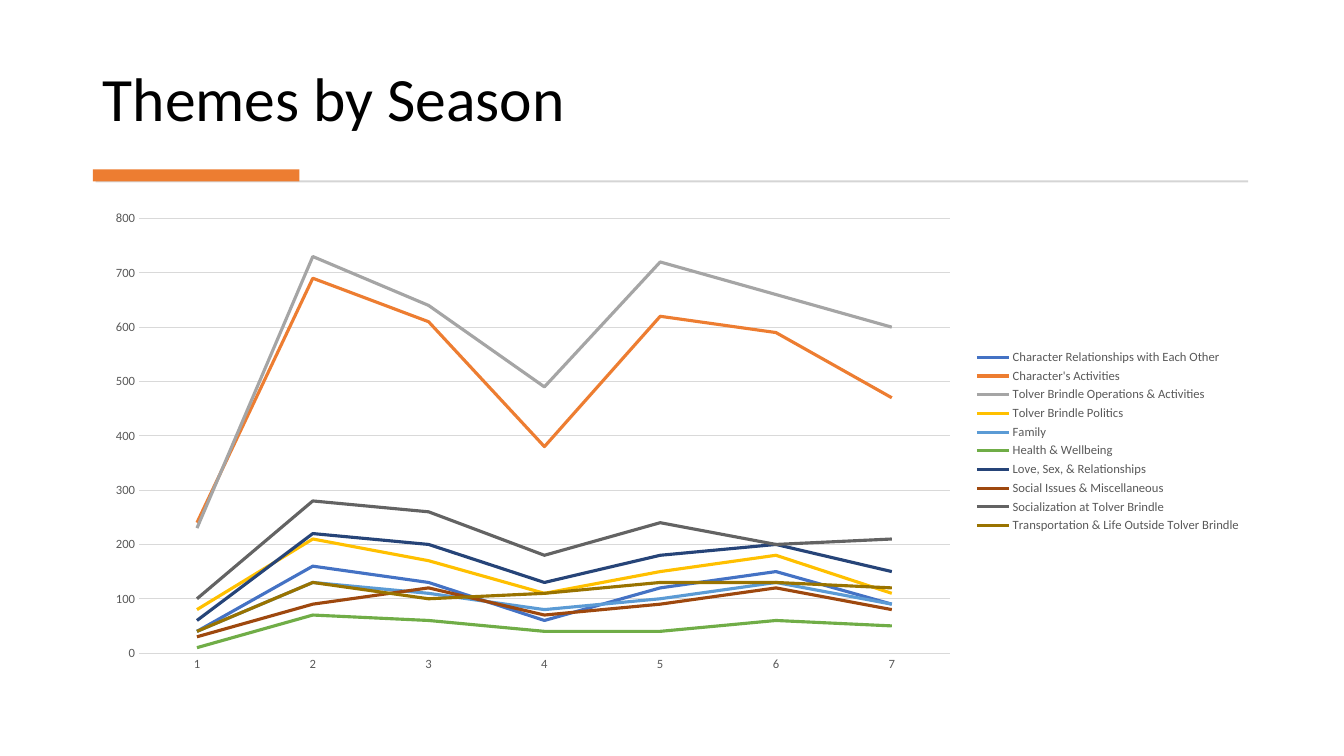
import pptx
import pptx.chart.data
import pptx.dml.color
import pptx.enum.chart
import pptx.enum.shapes
import pptx.enum.text
import pptx.util

RGBColor = pptx.dml.color.RGBColor
BLACK = RGBColor(0x00, 0x00, 0x00)
TEXT_GREY = RGBColor(0x59, 0x59, 0x59)
GRID_GREY = RGBColor(0xD9, 0xD9, 0xD9)
RULE_GREY = RGBColor(0xD5, 0xD5, 0xD5)
BLUE = RGBColor(0x44, 0x72, 0xC4)
ORANGE = RGBColor(0xED, 0x7D, 0x31)
GREY = RGBColor(0xA5, 0xA5, 0xA5)
GOLD = RGBColor(0xFF, 0xC0, 0x00)
SKY = RGBColor(0x5B, 0x9B, 0xD5)
GREEN = RGBColor(0x70, 0xAD, 0x47)
NAVY = RGBColor(0x26, 0x44, 0x78)
RUST = RGBColor(0x9E, 0x48, 0x0E)
CHARCOAL = RGBColor(0x63, 0x63, 0x63)
OLIVE = RGBColor(0x99, 0x73, 0x00)

SEASONS = 7
THEMES = [
    ("Character Relationships with Each Other", BLUE, (40, 160, 130, 60, 120, 150, 90)),
    ("Character's Activities", ORANGE, (240, 690, 610, 380, 620, 590, 470)),
    ("Tolver Brindle Operations & Activities", GREY, (230, 730, 640, 490, 720, 660, 600)),
    ("Tolver Brindle Politics", GOLD, (80, 210, 170, 110, 150, 180, 110)),
    ("Family", SKY, (40, 130, 110, 80, 100, 130, 90)),
    ("Health & Wellbeing", GREEN, (10, 70, 60, 40, 40, 60, 50)),
    ("Love, Sex, & Relationships", NAVY, (60, 220, 200, 130, 180, 200, 150)),
    ("Social Issues & Miscellaneous", RUST, (30, 90, 120, 70, 90, 120, 80)),
    ("Socialization at Tolver Brindle", CHARCOAL, (100, 280, 260, 180, 240, 200, 210)),
    ("Transportation & Life Outside Tolver Brindle", OLIVE, (40, 130, 100, 110, 130, 130, 120)),
]


def style_font(font, size, color):
    for name, value in {"name": "Calibri", "size": pptx.util.Pt(size)}.items():
        setattr(font, name, value)
    font.color.rgb = color


deck = pptx.Presentation()
deck.slide_width = pptx.util.Inches(13.33)
deck.slide_height = pptx.util.Inches(7.5)
page = deck.slides.add_slide(deck.slide_layouts[6])

margin = pptx.util.Inches(0.92)
content_width = deck.slide_width - 2 * margin

# Title
box = page.shapes.add_textbox(margin, pptx.util.Inches(0.28),
                              content_width, pptx.util.Inches(1.11))
frame = box.text_frame
frame.word_wrap = True
frame.vertical_anchor = pptx.enum.text.MSO_ANCHOR.BOTTOM
para = frame.paragraphs[0]
para.line_spacing = 0.9
span = para.add_run()
span.text = "Themes by Season"
style_font(span.font, 44, BLACK)

# Rule under the title, with its accent bar
rule_inset = pptx.util.Inches(0.03)
for left, top, width, height, color in [
    (margin + rule_inset, 1.79, content_width - 2 * rule_inset, 0.02, RULE_GREY),
    (margin, 1.68, pptx.util.Inches(2.05), 0.12, ORANGE),
]:
    bar = page.shapes.add_shape(pptx.enum.shapes.MSO_SHAPE.RECTANGLE, left,
                                pptx.util.Inches(top), width, pptx.util.Inches(height))
    bar.shadow.inherit = False
    bar.fill.solid()
    bar.fill.fore_color.rgb = color
    bar.line.fill.background()

# Line chart
chart_data = pptx.chart.data.CategoryChartData()
chart_data.categories = [str(season) for season in range(1, SEASONS + 1)]
for theme, color, values in THEMES:
    chart_data.add_series(theme, values)
chart = page.shapes.add_chart(
    pptx.enum.chart.XL_CHART_TYPE.LINE, margin, pptx.util.Inches(2),
    content_width, pptx.util.Inches(4.76), chart_data).chart
chart.has_title = False
style_font(chart.font, 10, BLACK)
chart.plots[0].vary_by_categories = False

for series, (theme, color, values) in zip(chart.plots[0].series, THEMES):
    series.smooth = False
    series.format.line.color.rgb = color
    series.format.line.width = pptx.util.Pt(2.25)

chart.has_legend = True
chart.legend.position = pptx.enum.chart.XL_LEGEND_POSITION.RIGHT
chart.legend.include_in_layout = False
style_font(chart.legend.font, 9, TEXT_GREY)

no_tick = pptx.enum.chart.XL_TICK_MARK.NONE
for axis in (chart.category_axis, chart.value_axis):
    for name, value in {"major_tick_mark": no_tick, "minor_tick_mark": no_tick}.items():
        setattr(axis, name, value)
    style_font(axis.tick_labels.font, 9, TEXT_GREY)

scale = {"minimum_scale": 0, "maximum_scale": 800, "major_unit": 100,
         "has_major_gridlines": True}
for name, value in scale.items():
    setattr(chart.value_axis, name, value)
chart.value_axis.format.line.fill.background()
for line in (chart.category_axis.format.line, chart.value_axis.major_gridlines.format.line):
    line.color.rgb = GRID_GREY
    line.width = pptx.util.Pt(0.75)

deck.save("out.pptx")
